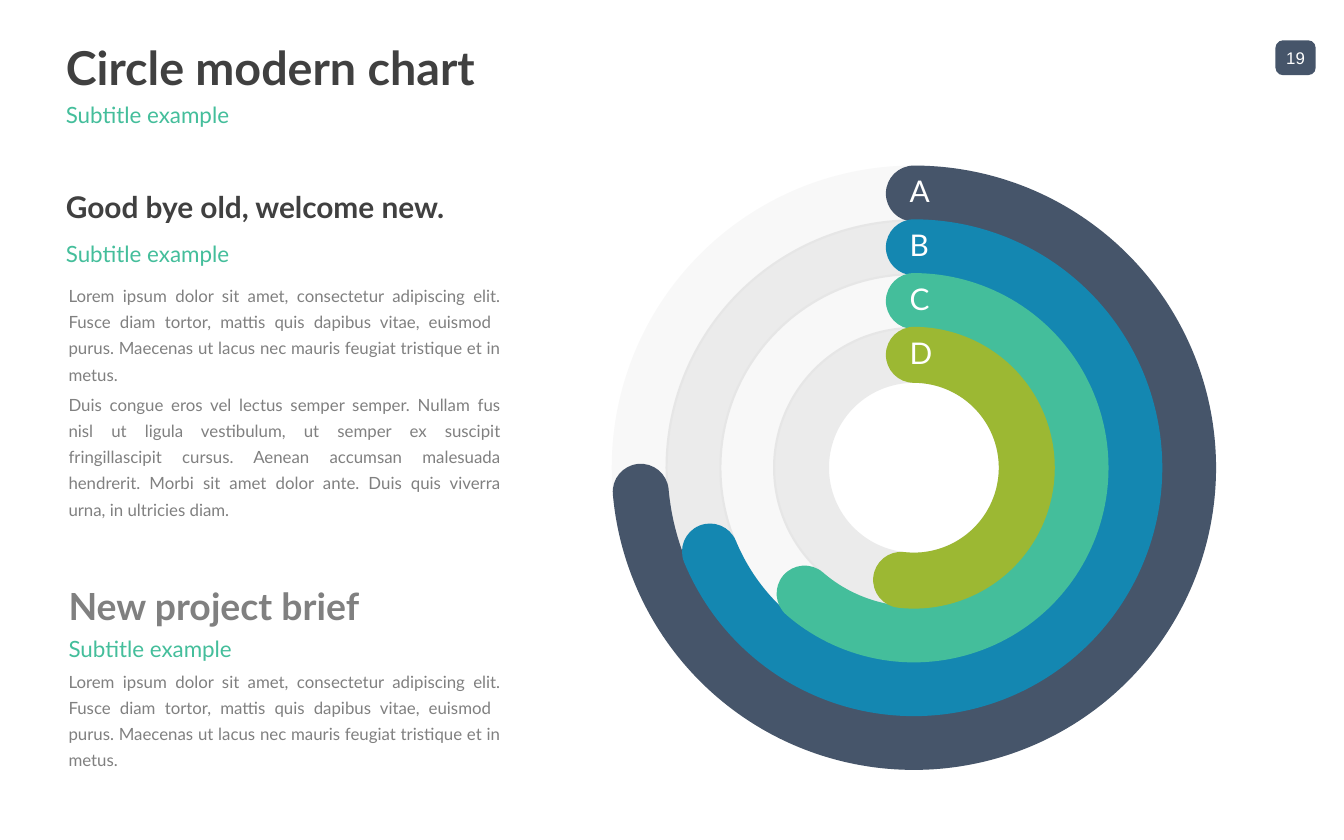
from lxml.etree import SubElement
from pptx import Presentation
from pptx.dml.color import RGBColor
from pptx.enum.shapes import MSO_SHAPE
from pptx.enum.text import MSO_ANCHOR, MSO_AUTO_SIZE, PP_ALIGN
from pptx.oxml.ns import qn
from pptx.util import Inches, Pt

WHITE = RGBColor(0xFF, 0xFF, 0xFF)
DARK = RGBColor(0x40, 0x40, 0x40)
GREY = RGBColor(0x80, 0x80, 0x80)
TRACK = RGBColor(0xBF, 0xBF, 0xBF)
SLATE = RGBColor(0x46, 0x55, 0x6A)
BLUE = RGBColor(0x14, 0x87, 0xB1)
GREEN = RGBColor(0x44, 0xBE, 0x9B)
OLIVE = RGBColor(0x9C, 0xB8, 0x33)

CENTER_X, CENTER_Y = 6.8, 3.48
OUTER_DIAMETER, RING_STEP = 4.08, 0.8
RING_WIDTH = 30
LABEL_TOP = 1.27
START_ANGLE = 270
ANGLE_UNIT = 0.6

RINGS = [
    ("A", SLATE, 174.97, 10),
    ("B", BLUE, 157.65, 30),
    ("C", GREEN, 130.96, 10),
    ("D", OLIVE, 96.49, 30),
]

LOREM = (
    "Lorem ipsum dolor sit amet, consectetur adipiscing elit. Fusce diam tortor, "
    "mattis quis dapibus vitae, euismod  purus. Maecenas ut lacus nec mauris "
    "feugiat tristique et in metus."
)
DUIS = (
    "Duis congue eros vel lectus semper semper. Nullam fus nisl ut ligula "
    "vestibulum, ut semper ex suscipit fringillascipit cursus. Aenean accumsan "
    "malesuada hendrerit. Morbi sit amet dolor ante. Duis quis viverra urna, "
    "in ultricies diam."
)


def place(shape, left, top, width, height):
    shape.left, shape.top = Inches(left), Inches(top)
    shape.width, shape.height = Inches(width), Inches(height)


def write(shape, *texts, size, color, font="Lato", bold=False, align=PP_ALIGN.LEFT,
          anchor=MSO_ANCHOR.MIDDLE, spacing=1.0, before=0, margins=(0, 0.04), wrap=True):
    frame = shape.text_frame
    frame.word_wrap = wrap
    frame.auto_size = MSO_AUTO_SIZE.NONE
    frame.vertical_anchor = anchor
    frame.margin_left = frame.margin_right = Inches(margins[0])
    frame.margin_top = frame.margin_bottom = Inches(margins[1])
    for index, text in enumerate(texts):
        para = frame.add_paragraph() if index else frame.paragraphs[0]
        para.alignment = align
        para.line_spacing = spacing
        para.space_before = Pt(before)
        span = para.add_run()
        span.text = text
        span.font.name = font
        span.font.size = Pt(size)
        span.font.bold = bold
        span.font.color.rgb = color
        if shape.is_placeholder:
            properties = para._p.get_or_add_pPr()
            properties.set("marL", "0")
            properties.set("indent", "0")
            SubElement(properties, qn("a:buNone"))


def add_heading(shape, text, left, top, width, height, size, color):
    place(shape, left, top, width, height)
    write(shape, text, size=size, color=color, bold=True)


def add_subtitle(page, left, top, width):
    box = page.shapes.add_textbox(Inches(left), Inches(top), Inches(width), Inches(0.21))
    write(box, "Subtitle example", size=12, color=GREEN)


def add_body(shape, top, height, *texts):
    place(shape, 0.51, top, 3.21, height)
    write(shape, *texts, size=9, color=GREY, align=PP_ALIGN.JUSTIFY,
          anchor=MSO_ANCHOR.TOP, spacing=1.3, before=2, margins=(0, 0))


def add_page_number(page, number):
    badge = page.shapes.add_shape(MSO_SHAPE.ROUNDED_RECTANGLE, Inches(9.49), Inches(0.3),
                                  Inches(0.3), Inches(0.26))
    badge.adjustments[0] = 0.22
    badge.shadow.inherit = False
    badge.fill.solid()
    badge.fill.fore_color.rgb = SLATE
    badge.line.fill.background()
    write(badge, number, size=9, color=WHITE, font="Arial", align=PP_ALIGN.CENTER,
          margins=(0, 0), wrap=False)


def add_ring(page, preset, diameter, color):
    ring = page.shapes.add_shape(preset, Inches(CENTER_X - diameter / 2),
                                 Inches(CENTER_Y - diameter / 2),
                                 Inches(diameter), Inches(diameter))
    ring.shadow.inherit = False
    ring.fill.background()
    ring.line.color.rgb = color
    ring.line.width = Pt(RING_WIDTH)
    return ring


def add_track(page, diameter, opacity):
    track = add_ring(page, MSO_SHAPE.OVAL, diameter, TRACK)
    tint = track.line._ln.find(".//" + qn("a:srgbClr"))
    SubElement(tint, qn("a:alpha")).set("val", str(opacity * 1000))


def add_arc(page, diameter, color, end_angle):
    arc = add_ring(page, MSO_SHAPE.ARC, diameter, color)
    arc.adjustments[0] = START_ANGLE * ANGLE_UNIT
    arc.adjustments[1] = end_angle * ANGLE_UNIT
    arc.line._ln.set("cap", "rnd")


def add_ring_chart(page):
    diameters = [OUTER_DIAMETER - RING_STEP * index for index in range(len(RINGS))]
    for diameter, (_, _, _, opacity) in zip(diameters, RINGS):
        add_track(page, diameter, opacity)
    for diameter, (_, color, end_angle, _) in zip(diameters, RINGS):
        add_arc(page, diameter, color, end_angle)
    for index, (label, _, _, _) in enumerate(RINGS):
        box = page.shapes.add_textbox(Inches(6.67), Inches(LABEL_TOP + index * RING_STEP / 2),
                                      Inches(0.36), Inches(0.35))
        write(box, label, size=16, color=WHITE, anchor=MSO_ANCHOR.TOP, spacing=0.89,
              margins=(0.1, 0.05), wrap=False)


def main():
    deck = Presentation()
    deck.slide_width, deck.slide_height = Inches(10), Inches(6.25)
    page = deck.slides.add_slide(deck.slide_layouts.get_by_name("Comparison"))
    title, intro_heading, intro, brief_heading, brief = list(page.placeholders)[:5]

    add_page_number(page, "19")
    add_heading(title, "Circle modern chart", 0.49, 0.3, 9, 0.39, 25, DARK)
    add_subtitle(page, 0.49, 0.75, 9)
    add_heading(intro_heading, "Good bye old, welcome new.", 0.49, 1.34, 3.22, 0.39, 16, DARK)
    add_subtitle(page, 0.49, 1.78, 3.22)
    add_body(intro, 2.08, 1.96, LOREM, DUIS)
    add_heading(brief_heading, "New project brief", 0.51, 4.35, 3.21, 0.31, 20, GREY)
    add_subtitle(page, 0.51, 4.72, 3.21)
    add_body(brief, 4.95, 0.77, LOREM)
    add_ring_chart(page)

    deck.save("out.pptx")


if __name__ == "__main__":
    main()
